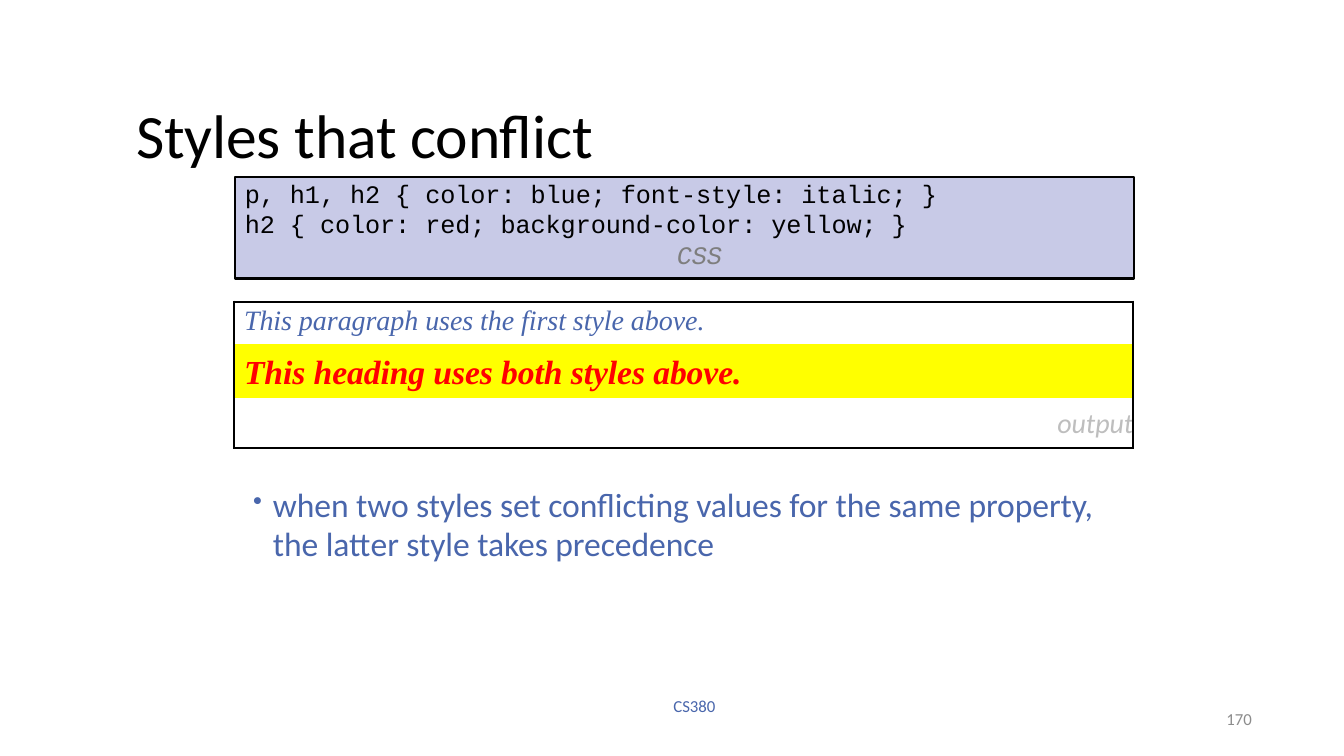
from lxml.etree import SubElement
from pptx import Presentation
from pptx.dml.color import RGBColor
from pptx.enum.shapes import MSO_SHAPE
from pptx.enum.text import MSO_ANCHOR, PP_ALIGN
from pptx.oxml.ns import qn
from pptx.util import Cm, Pt

BLACK, WHITE, BLUE, YELLOW, RED = "000000", "FFFFFF", "4966AC", "FFFF00", "FF0000"
LAVENDER, CODE_GREY, PAGE_GREY, OUTPUT_GREY = "C8CAE7", "7E7E7E", "8C8C8C", "BEBEBE"
SANS, MONO, SERIF = "Calibri", "Courier New", "Times New Roman"


def rgb(color):
    return RGBColor.from_string(color)


def format_paragraph(p, font, size, color, bold=False, italic=False,
                     align=PP_ALIGN.LEFT, before=0, indent=0, spacing=-5):
    p.alignment = align
    p.space_before = Pt(before)
    p._p.get_or_add_pPr().set("marL", str(Cm(indent)))
    for r in p.runs:
        r.font.name, r.font.size = font, Pt(size)
        r.font.bold, r.font.italic = bold, italic
        r.font.color.rgb = rgb(color)
        r._r.get_or_add_rPr().set("spc", str(spacing))


def prepare_frame(tf, top=0, anchor=MSO_ANCHOR.TOP):
    tf.word_wrap = True
    tf.vertical_anchor = anchor
    tf.margin_left = tf.margin_right = tf.margin_bottom = 0
    tf.margin_top = Cm(top)


def add_text(s, box, text, size, color, anchor=MSO_ANCHOR.TOP, top=0, line=None, **style):
    tf = s.shapes.add_textbox(*map(Cm, box)).text_frame
    prepare_frame(tf, top, anchor)
    p = tf.paragraphs[0]
    p.text = text
    format_paragraph(p, SANS, size, color, **style)
    if line:
        p.line_spacing = Pt(line)
    return p


def add_bullet(p, hanging, percent):
    pPr = p._p.get_or_add_pPr()
    pPr.set("indent", str(-Cm(hanging)))
    SubElement(pPr, qn("a:buSzPct"), val=str(percent * 1000))
    SubElement(pPr, qn("a:buChar"), char="•")


def add_code_box(s, box, lines, label):
    sp = s.shapes.add_shape(MSO_SHAPE.RECTANGLE, *map(Cm, box))
    sp.shadow.inherit = False
    sp.fill.solid()
    sp.fill.fore_color.rgb = rgb(LAVENDER)
    sp.line.color.rgb = rgb(BLACK)
    sp.line.width = Pt(1.44)
    tf = sp.text_frame
    prepare_frame(tf, 0.05)
    tf.text = "\n".join([*lines, label])
    *code, caption = tf.paragraphs
    for i, p in enumerate(code):
        format_paragraph(p, MONO, 18, BLACK, before=0 if i else 1.5, indent=0.25)
    format_paragraph(caption, MONO, 18, CODE_GREY, italic=True,
                     align=PP_ALIGN.CENTER, indent=0.75)


def set_borders(cell, visible):
    tcPr = cell._tc.get_or_add_tcPr()
    for side in "LRTB":
        ln = SubElement(tcPr, qn(f"a:ln{side}"), w=str(Pt(1.5)))
        if side in visible:
            fill = SubElement(ln, qn("a:solidFill"))
            SubElement(fill, qn("a:srgbClr"), val=BLACK)
        else:
            SubElement(ln, qn("a:noFill"))


def add_output_table(s, left, top, width, rows):
    height = sum(row[1] for row in rows)
    table = s.shapes.add_table(len(rows), 1, *map(Cm, (left, top, width, height))).table
    table.first_row = table.horz_banding = False
    for i, (text, row_height, fill, margin, borders, style) in enumerate(rows):
        table.rows[i].height = Cm(row_height)
        cell = table.cell(i, 0)
        set_borders(cell, borders)
        cell.fill.solid()
        cell.fill.fore_color.rgb = rgb(fill)
        cell.margin_left = cell.margin_right = cell.margin_bottom = 0
        cell.margin_top = Cm(margin)
        p = cell.text_frame.paragraphs[0]
        p.text = text
        format_paragraph(p, italic=True, **style)


def main():
    prs = Presentation()
    prs.slide_width, prs.slide_height = Cm(33.87), Cm(19.05)
    s = prs.slides.add_slide(prs.slide_layouts[6])

    # Title
    add_text(s, (3.4, 2.41, 12.5, 1.93), "Styles that conflict", 44, BLACK,
             MSO_ANCHOR.MIDDLE, indent=0.03, spacing=-10)

    # Style rules
    add_code_box(s, (5.92, 4.45, 22.66, 2.57), [
        "p, h1, h2 { color: blue; font-style: italic; }",
        "h2 { color: red; background-color: yellow; }",
    ], "CSS")

    # Rendered output
    add_output_table(s, 5.9, 7.6, 22.66, [
        ("This paragraph uses the first style above.", 1.07, WHITE, 0.1, "LRT",
         dict(font=SERIF, size=20, color=BLUE, indent=0.25)),
        ("This heading uses both styles above.", 1.35, YELLOW, 0.27, "LR",
         dict(font=SERIF, size=24, color=RED, bold=True, indent=0.25)),
        ("output", 1.27, WHITE, 0.24, "LRB",
         dict(font=SANS, size=20, color=OUTPUT_GREY, align=PP_ALIGN.RIGHT)),
    ])

    # Explanation
    p = add_text(s, (6.35, 12.22, 21.62, 2.01),
                 "when two styles set conflicting values for the same property,\v"
                 "the latter style takes precedence",
                 24, BLUE, top=0.03, line=27.4, before=1, indent=0.53)
    add_bullet(p, 0.5, 79)

    # Footer and page number
    add_text(s, (16.94, 17.6, 1.3, 0.48), "CS380", 12, BLUE,
             line=12.3, indent=0.03, spacing=0)
    add_text(s, (23.93, 17.65, 7.62, 1.02), "170", 12, PAGE_GREY, MSO_ANCHOR.MIDDLE,
             line=12.3, align=PP_ALIGN.RIGHT, spacing=0)

    prs.save("out.pptx")


if __name__ == "__main__":
    main()
